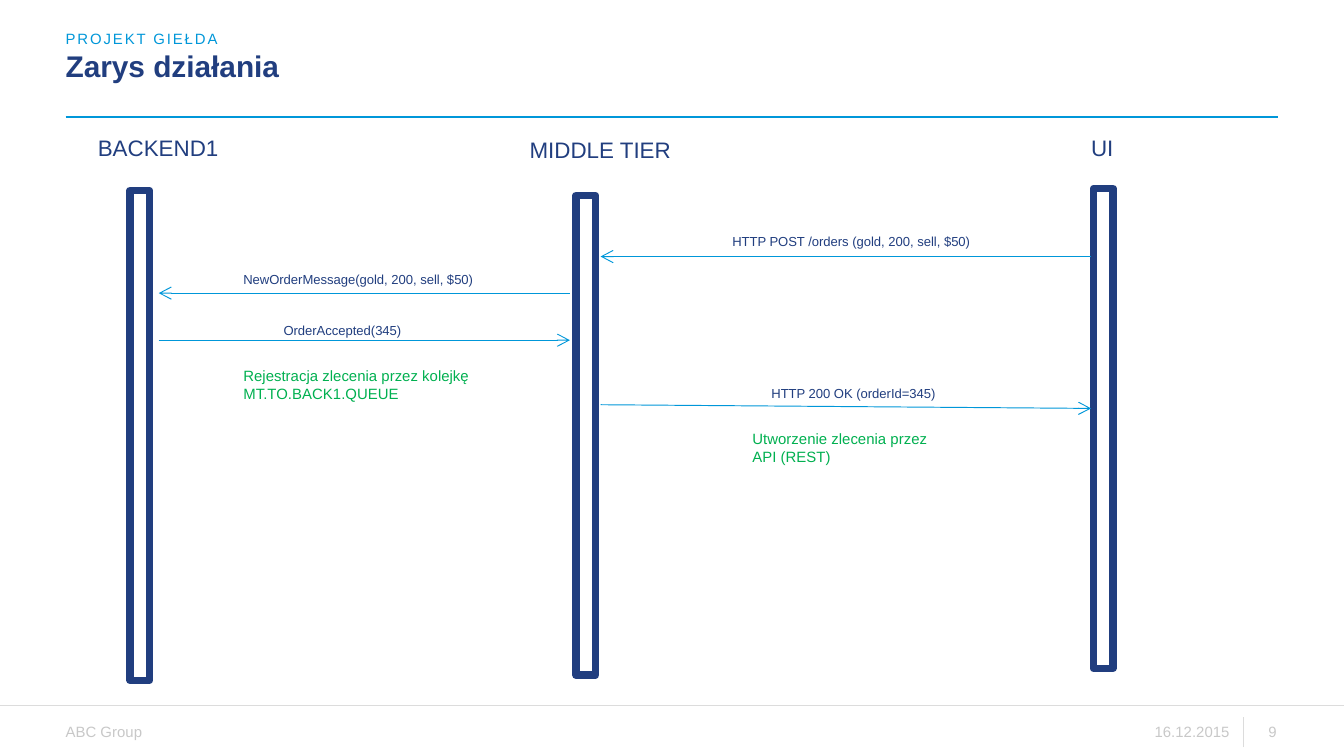
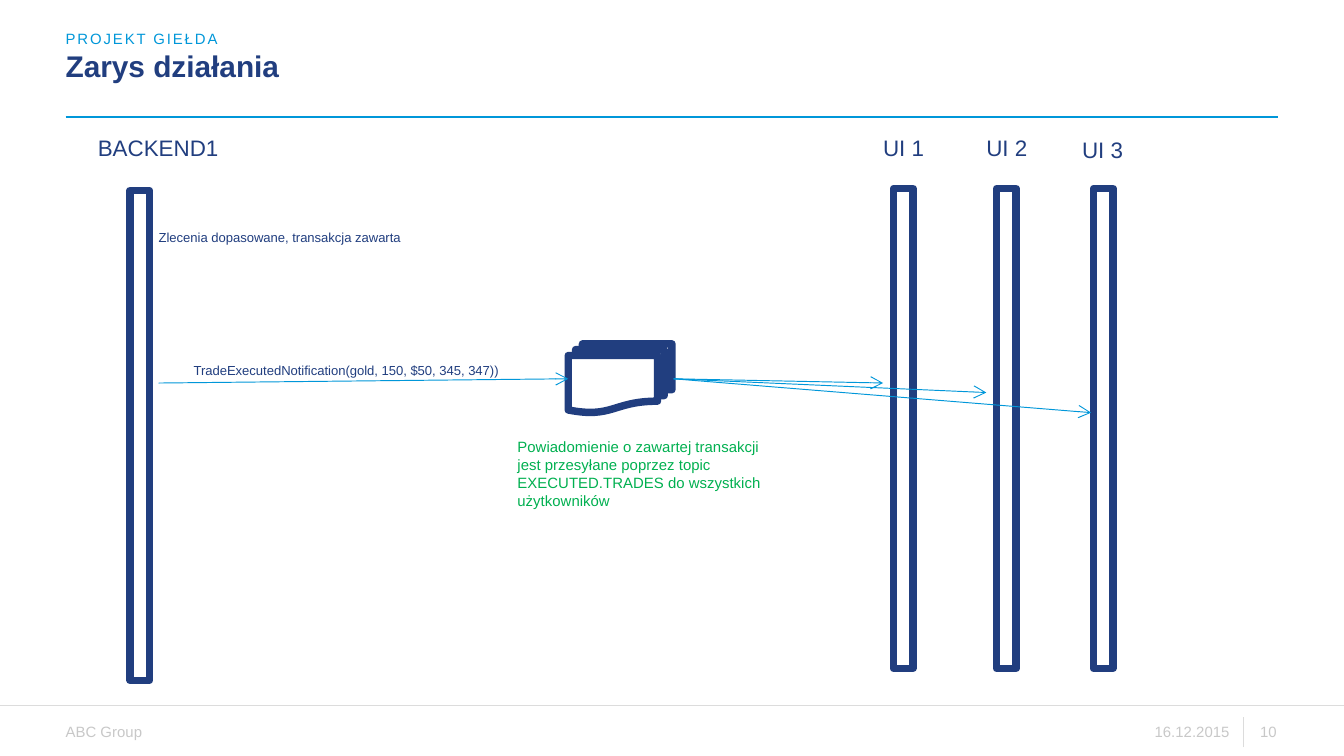
"""Build two sequence diagrams of the exchange project."""
from lxml.etree import SubElement as Sub
from pptx import Presentation
from pptx.dml.color import RGBColor as Rgb
from pptx.enum.shapes import MSO_CONNECTOR as Conn, MSO_SHAPE as Kind
from pptx.enum.text import MSO_ANCHOR as Anchor, MSO_AUTO_SIZE as Fit, PP_ALIGN as Align
from pptx.oxml.ns import qn
from pptx.util import Cm, Pt

HUES = {"navy": "213E7F", "blue": "0097D9", "green": "00B050",
        "gray": "C8C8C8", "rule": "DCDCDC", "white": "FFFFFF"}
HUES = {name: Rgb.from_string(code) for name, code in HUES.items()}
EDGE, END, MID = 1.24, 24.16, 11.35


def write(box, text, place, size, hue, wrap=False, align=Align.LEFT, fit=Fit.SHAPE_TO_FIT_TEXT):
    box.left, box.top, box.width, box.height = [Cm(n) for n in place]
    frame = box.text_frame
    frame.text = text
    frame.margin_left = frame.margin_right = frame.margin_top = frame.margin_bottom = 0
    frame.word_wrap = wrap
    frame.auto_size = fit
    frame.vertical_anchor = Anchor.TOP
    para = frame.paragraphs[0]
    para.alignment = align
    font = para.runs[0].font
    font.name, font.size, font.color.rgb = "Arial", Pt(size), HUES[hue]
    return para


def draw(slide, start, end, hue, width, arrow=False):
    line = slide.shapes.add_connector(Conn.STRAIGHT, *[Cm(n) for n in start + end])
    line.line.color.rgb = HUES[hue]
    line.line.width = Pt(width)
    props = line._element.spPr
    if arrow:
        Sub(props.find(qn("a:ln")), qn("a:tailEnd"), type="arrow")
    Sub(props, qn("a:effectLst"))


BACK = ("BACKEND1", 1.85, 2.54, 2.29, 2.64, 8.23, 12.6)
PAGES = [
    {"page": "9",
     "lanes": [BACK,
               ("MIDDLE TIER", 10.01, 2.57, 2.69, 11.07, 8.23, 12.34),
               ("UI", 20.62, 2.54, 0.43, 20.85, 8.1, 12.34)],
     "docs": [],
     "arrows": [((20.62, 4.85), (MID, 4.85)), ((MID, 7.65), (20.62, 7.72)),
                ((10.77, 5.54), (3, 5.54)), ((3, 6.43), (10.77, 6.43))],
     "calls": [("HTTP POST /orders (gold, 200, sell, $50)", 13.84, 4.42, 4.57),
               ("HTTP 200 OK (orderId=345)", 14.58, 7.29, 3.15),
               ("NewOrderMessage(gold, 200, sell, $50)", 4.6, 5.13, 4.42),
               ("OrderAccepted(345)", 5.36, 6.1, 2.26)],
     "notes": [("Utworzenie zlecenia przez API (REST)", 14.22, 8.13, 3.35, 0.69),
               ("Rejestracja zlecenia przez kolejkę MT.TO.BACK1.QUEUE", 4.6, 6.93, 4.42, 0.69)]},
    {"page": "10",
     "lanes": [BACK,
               ("UI 1", 16.69, 2.54, 0.79, 17.07, 8.1, 12.34),
               ("UI 2", 18.64, 2.54, 0.79, 19.02, 8.1, 12.34),
               ("UI 3", 20.45, 2.57, 0.79, 20.85, 8.1, 12.34)],
     "docs": [(10.74, 6.5, 1.96, 1.3)],
     "arrows": [((3, 7.24), (10.74, 7.16))]
     + [((12.73, 7.16), end) for end in ((16.69, 7.24), (18.64, 7.42), (20.62, 7.8))],
     "calls": [("Zlecenia dopasowane, transakcja zawarta", 3, 4.34, 4.62),
               ("TradeExecutedNotification(gold, 150, $50, 345, 347))", 3.66, 6.86, 5.94)],
     "notes": [("Powiadomienie o zawartej transakcji jest przesyłane poprzez topic "
                "EXECUTED.TRADES do wszystkich użytkowników", 9.78, 8.28, 4.9, 1.37)]},
]

deck = Presentation()
deck.slide_width, deck.slide_height = Cm(25.4), Cm(14.29)

for page in PAGES:
    slide = deck.slides.add_slide(deck.slide_layouts[1])
    shapes = slide.shapes

    draw(slide, (EDGE, 2.21), (END, 2.21), "blue", 0.75)
    draw(slide, (0, 13.34), (25.4, 13.34), "rule", 0.75)
    draw(slide, (23.5, 14.12), (23.5, 13.56), "rule", 0.75)
    for text, left, width, align in (("ABC Group", EDGE, 1.45, Align.LEFT),
                                     ("16.12.2015", 21.79, 1.45, Align.RIGHT),
                                     (page["page"], 23.57, 0.56, Align.RIGHT)):
        box = shapes.add_textbox(0, 0, 0, 0)
        write(box, text, (left, 13.67, width, 0.33), 8, "gray", True, align)
        box.text_frame.vertical_anchor = Anchor.MIDDLE

    title = write(shapes.title, "Zarys działania", (EDGE, 0.97, 18.59, 0.61),
                  16, "navy", True, fit=Fit.NONE)
    title.line_spacing = Pt(17)
    title.runs[0].font.bold = True
    body = slide.placeholders[1]
    head = write(body, "PROJEKT GIEŁDA", (EDGE, 0.56, 18.59, 0.33),
                 8, "blue", True, fit=Fit.NONE)
    body.text_frame.vertical_anchor = Anchor.BOTTOM
    head.space_before = Pt(0)
    props = head._p.get_or_add_pPr()
    props.set("marL", "0")
    props.set("indent", "0")
    Sub(props, qn("a:buNone"))
    head.runs[0].font._element.set("spc", "100")

    forms = [(Kind.MATH_MINUS, (x - size / 2, y - 0.785, size, 1.57), 90)
             for *_, x, y, size in page["lanes"]]
    forms += [(Kind.FLOWCHART_MULTIDOCUMENT, place, 0) for place in page["docs"]]
    for kind, place, turn in forms:
        form = shapes.add_shape(kind, *[Cm(n) for n in place])
        form.rotation = turn
        form.shadow.inherit = False
        form.fill.solid()
        form.fill.fore_color.rgb = HUES["white"]
        form.line.color.rgb = HUES["navy"]
        form.line.width = Pt(4)

    for start, end in page["arrows"]:
        draw(slide, start, end, "blue", 0.5, True)
    for text, left, top, width, *_ in page["lanes"]:
        write(shapes.add_textbox(0, 0, 0, 0), text, (left, top, width, 0.51), 12, "navy")
    for text, left, top, width in page["calls"]:
        write(shapes.add_textbox(0, 0, 0, 0), text, (left, top, width, 0.3), 7, "navy")
    for text, *place in page["notes"]:
        write(shapes.add_textbox(0, 0, 0, 0), text, place, 8, "green", True)

deck.save("out.pptx")
